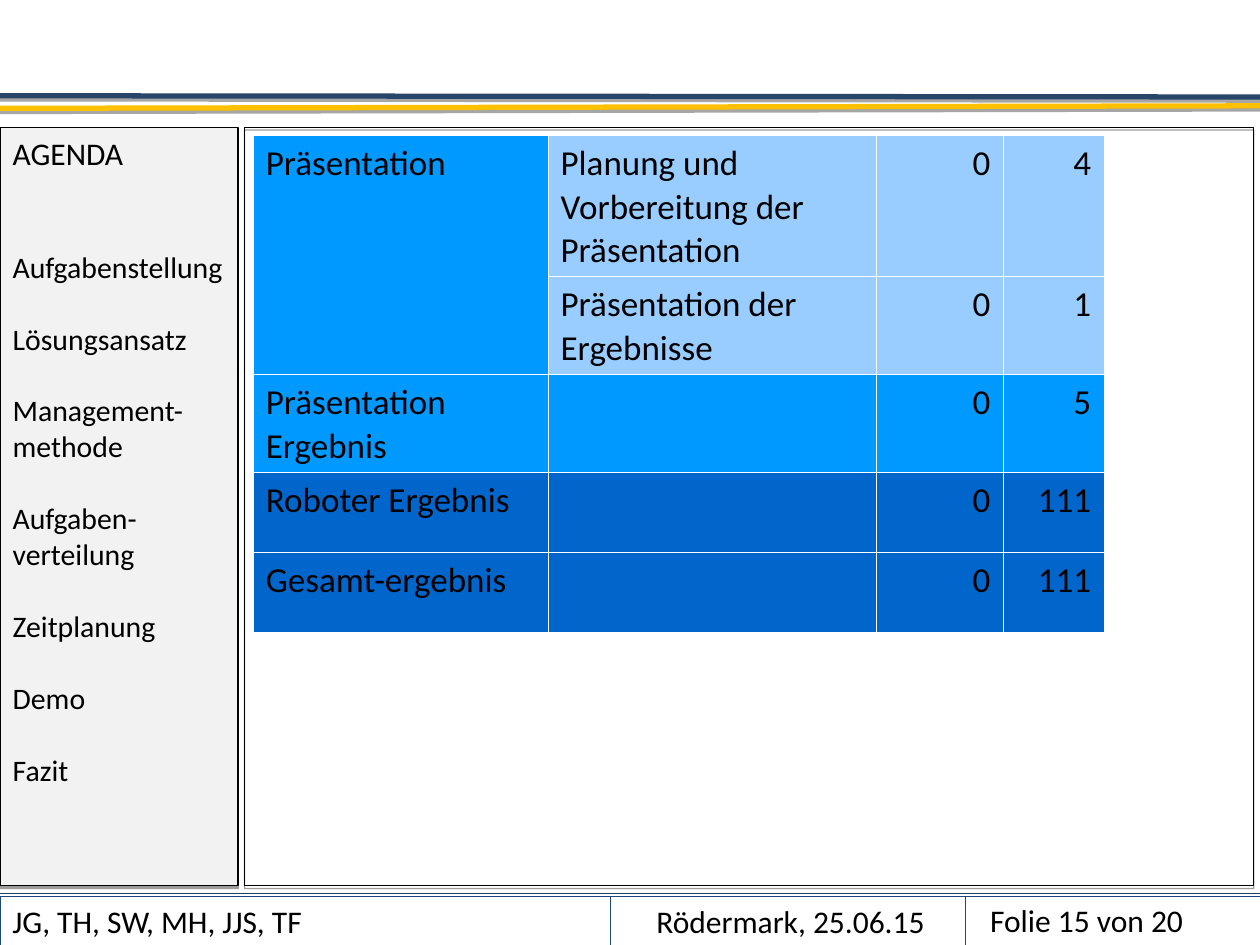
from lxml import etree
from pptx import Presentation
from pptx import util as u
from pptx.dml.color import RGBColor
from pptx.enum import shapes, text
from pptx.oxml import ns

BLACK = RGBColor(0x00, 0x00, 0x00)
WHITE = RGBColor(0xFF, 0xFF, 0xFF)
GREY = RGBColor(0xF2, 0xF2, 0xF2)
NAVY = RGBColor(0x28, 0x46, 0x6A)
GOLD = RGBColor(0xFF, 0xC0, 0x00)
DARK_BLUE = RGBColor(0x25, 0x40, 0x61)
FRAME_BLUE = RGBColor(0x1F, 0x49, 0x7D)
TASK_BLUE = RGBColor(0x00, 0x99, 0xFF)
DETAIL_BLUE = RGBColor(0x99, 0xCC, 0xFF)
TOTAL_BLUE = RGBColor(0x00, 0x66, 0xCC)

LEFT, CENTER, RIGHT = (text.PP_ALIGN.LEFT, text.PP_ALIGN.CENTER, text.PP_ALIGN.RIGHT)
RULE_SHADOW = (35, 1.8)  # opacity in percent, distance in points
PANEL_SHADOW = (38, 1.6)


def add_node(parent, tag, **attributes):
    values = {name: str(value) for name, value in attributes.items()}
    return etree.SubElement(parent, ns.qn(tag), values)


def write(para, words, size=18, align=LEFT, before=0, spacing=1.0):
    para.alignment = align
    para.space_before = u.Pt(before)
    para.line_spacing = spacing
    span = para.add_run()
    span.text = words
    span.font.name = "Calibri"
    span.font.size = u.Pt(size)
    span.font.color.rgb = BLACK


class SlideBuilder:
    def __init__(self, page):
        self.page = page

    def effects(self, item, shadow=None):
        """Replace the theme shadow by a downward one, or by none."""
        effects = add_node(item._element.spPr, "a:effectLst")
        if shadow:
            opacity, distance = shadow
            outer = add_node(effects, "a:outerShdw", blurRad=0, dist=u.Pt(distance),
                             dir=5400000, rotWithShape=0)
            color = add_node(outer, "a:srgbClr", val="000000")
            add_node(color, "a:alpha", val=opacity * 1000)

    def outline(self, box, color, width, fill=None, shadow=None):
        if fill is None:
            box.fill.background()
        else:
            box.fill.solid()
            box.fill.fore_color.rgb = fill
        box.line.color.rgb = color
        box.line.width = u.Pt(width)
        self.effects(box, shadow)

    def rule(self, start_y, end_y, color, width, shadow=None):
        line = self.page.shapes.add_connector(
            shapes.MSO_CONNECTOR.STRAIGHT,
            0, u.Inches(start_y), u.Inches(10), u.Inches(end_y))
        line.line.color.rgb = color
        line.line.width = u.Pt(width)
        self.effects(line, shadow)

    def frame(self, area, color, width, shadow=None):
        box = self.page.shapes.add_shape(
            shapes.MSO_SHAPE.RECTANGLE, *map(u.Inches, area))
        self.outline(box, color, width, shadow=shadow)

    def agenda(self, area, heading, topics):
        box = self.page.placeholders[1]
        box.left, box.top, box.width, box.height = map(u.Inches, area)
        self.outline(box, BLACK, 0.75, GREY, PANEL_SHADOW)
        body = box.text_frame
        body.auto_size = text.MSO_AUTO_SIZE.NONE
        body.word_wrap = True
        body.vertical_anchor = text.MSO_ANCHOR.TOP
        write(body.paragraphs[0], heading)
        for index, topic in enumerate(topics):
            write(body.add_paragraph(), topic, size=17, before=20.7 if index else 44)
        for para in body.paragraphs:
            settings = para._p.get_or_add_pPr()
            settings.set("marL", "0")
            settings.set("indent", "0")
            add_node(settings, "a:buNone")

    def label(self, area, words, align=LEFT):
        box = self.page.shapes.add_textbox(*map(u.Inches, area))
        box.text_frame.word_wrap = True
        box.text_frame.auto_size = text.MSO_AUTO_SIZE.SHAPE_TO_FIT_TEXT
        write(box.text_frame.paragraphs[0], words, align=align)

    def cell(self, cell, words, fill, align):
        settings = cell._tc.get_or_add_tcPr()
        for side in ("a:lnL", "a:lnR", "a:lnT", "a:lnB"):
            border = add_node(settings, side, w=u.Pt(0.06))
            add_node(add_node(border, "a:solidFill"), "a:srgbClr", val=WHITE)
        cell.fill.solid()
        cell.fill.fore_color.rgb = fill
        if words:
            write(cell.text_frame.paragraphs[0], words, size=20, align=align, spacing=1.02)

    def table(self, left, top, widths, heights, rows):
        area = (left, top, sum(widths), sum(heights))
        table = self.page.shapes.add_table(
            len(rows), len(widths), *map(u.Inches, area)).table
        table.first_row = table.horz_banding = False
        for column, width in zip(table.columns, widths):
            column.width = u.Inches(width)
        for row, height in zip(table.rows, heights):
            row.height = u.Inches(height)
        for row, (task_fill, detail_fill, *words) in enumerate(rows):
            for column, word in enumerate(words):
                self.cell(table.cell(row, column), word,
                          detail_fill if column else task_fill,
                          RIGHT if column >= 2 else LEFT)
        return table


def main():
    deck = Presentation()
    deck.slide_width, deck.slide_height = u.Inches(10), u.Inches(7.5)
    page = deck.slides.add_slide(deck.slide_layouts[1])
    title = page.shapes.title._element
    title.getparent().remove(title)
    builder = SlideBuilder(page)

    # Header and footer rules
    builder.rule(0.76, 0.77, NAVY, 3, RULE_SHADOW)
    builder.rule(0.86, 0.84, GOLD, 3, RULE_SHADOW)
    builder.rule(7.09, 7.09, DARK_BLUE, 0.75)

    # Agenda and content panels
    builder.agenda((0, 1.01, 1.89, 6.02), "AGENDA", [
        "Aufgabenstellung", "Lösungsansatz", "Management-methode",
        "Aufgaben-verteilung", "Zeitplanung", "Demo", "Fazit"])
    builder.frame((1.94, 1.01, 8.01, 6.02), BLACK, 0.75, PANEL_SHADOW)

    # Footer
    builder.label((7.76, 7.1, 2.2, 0.4), "Folie 15 von 20")
    builder.label((0, 7.11, 3.91, 0.4), "JG, TH, SW, MH, JJS, TF")
    builder.label((4.88, 7.11, 2.79, 0.4), "Rödermark, 25.06.15", CENTER)
    edges = [0, 4.84, 7.66, 10]
    for left, right in zip(edges, edges[1:]):
        builder.frame((left, 7.11, right - left, 0.39), FRAME_BLUE, 0.25)

    # Hours per task
    table = builder.table(
        2.01, 1.07, [2.34, 2.6, 1.01, 0.8], [1.12, 0.78, 0.78, 0.63, 0.64], [
            (TASK_BLUE, DETAIL_BLUE, "Präsentation",
             "Planung und Vorbereitung der Präsentation", "0", "4"),
            (TASK_BLUE, DETAIL_BLUE, "", "Präsentation der Ergebnisse", "0", "1"),
            (TASK_BLUE, TASK_BLUE, "Präsentation Ergebnis", "", "0", "5"),
            (TOTAL_BLUE, TOTAL_BLUE, "Roboter Ergebnis", "", "0", "111"),
            (TOTAL_BLUE, TOTAL_BLUE, "Gesamt-ergebnis", "", "0", "111")])
    table.cell(0, 0).merge(table.cell(1, 0))

    deck.save("out.pptx")


if __name__ == "__main__":
    main()
